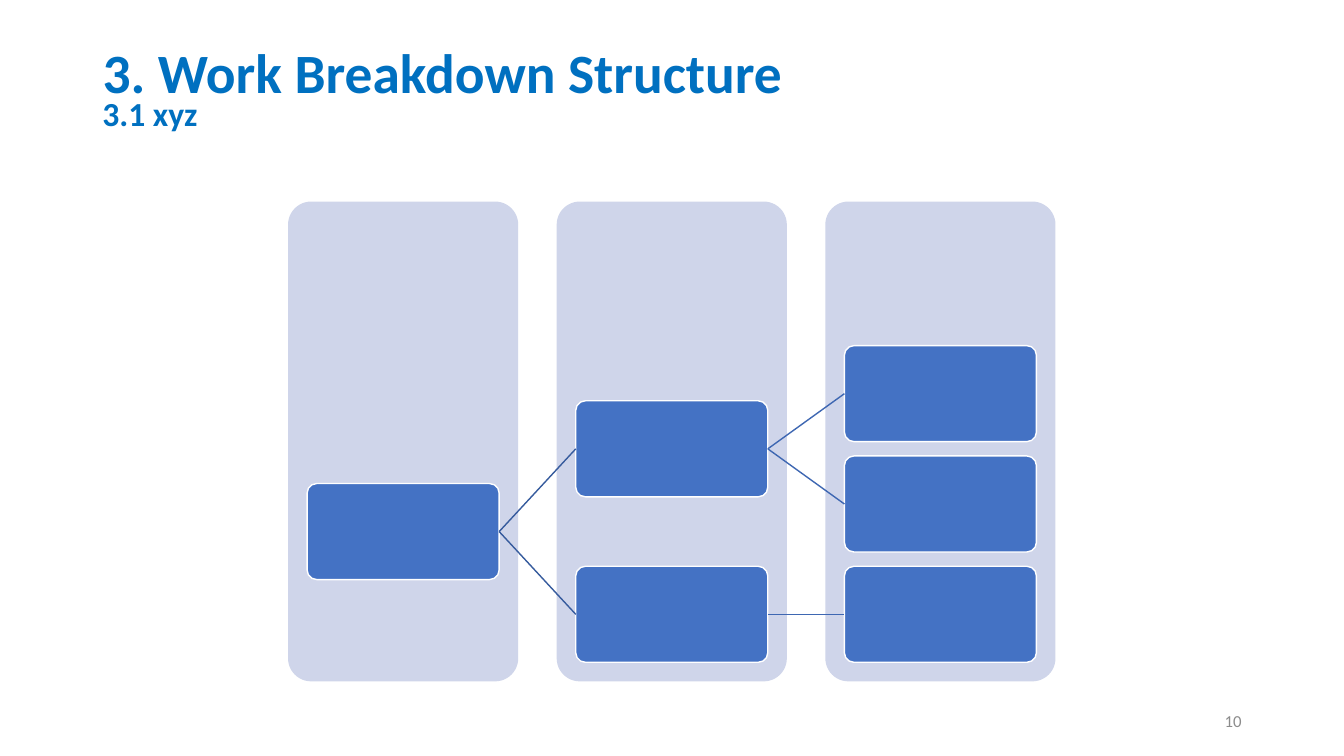
from lxml import etree
from pptx import Presentation
from pptx.dml.color import RGBColor
from pptx.enum.shapes import MSO_CONNECTOR, MSO_SHAPE
from pptx.enum.text import MSO_ANCHOR, MSO_AUTO_SIZE, PP_ALIGN
from pptx.oxml.ns import qn
from pptx.util import Cm, Pt

COLORS = {
    "heading": "0070C0", "page": "8C8C8C", "white": "FFFFFF",
    "column": "CFD5EA", "box": "4472C4",
    "root_link": "365B9D", "link": "3E67B2",
}
BOX_W, BOX_H = 4.84, 2.42
COLUMN_PITCH, ROW_PITCH = 6.77, 2.78
MARGIN = 0.48

# Each node is (column, row); a parent sits halfway between its children.
ROOT = (0, 1.25)
UPPER, LOWER = (1, 0.5), (1, 2)
LEAVES = [(2, row) for row in range(3)]
LINKS = [(ROOT, UPPER), (ROOT, LOWER), (UPPER, LEAVES[0]),
         (UPPER, LEAVES[1]), (LOWER, LEAVES[2])]


def rgb(name):
    return RGBColor.from_string(COLORS[name])


def write(sp, text, size, color, bold=False, align=PP_ALIGN.LEFT, spacing=None):
    tf = sp.text_frame
    tf.text = text
    tf.word_wrap = True
    tf.auto_size = MSO_AUTO_SIZE.NONE
    tf.vertical_anchor = MSO_ANCHOR.MIDDLE
    p = tf.paragraphs[0]
    p.alignment = align
    p.line_spacing = spacing
    font = p.runs[0].font
    font.name, font.size, font.bold = "Calibri", Pt(size), bold
    font.color.rgb = rgb(color)


def add_panel(slide, shape, x, y, w, h, fill, line=None):
    sp = slide.shapes.add_shape(shape, Cm(x), Cm(y), Cm(w), Cm(h))
    sp.shadow.inherit = False
    sp.fill.solid()
    sp.fill.fore_color.rgb = rgb(fill)
    if line:
        sp.line.color.rgb = rgb(line)
        sp.line.width = Pt(1)
    else:
        sp.line.fill.background()
    if shape == MSO_SHAPE.ROUNDED_RECTANGLE:
        sp.adjustments[0] = 0.1
    return sp


def add_heading(slide, x, y, w):
    title = slide.shapes.title
    title.left, title.top, title.width, title.height = Cm(x), Cm(y), Cm(w), Cm(1.37)
    write(title, "3. Work Breakdown Structure", 39.6, "heading", True, spacing=0.9)
    subtitle = add_panel(slide, MSO_SHAPE.RECTANGLE, x, y + 1.27, w, 0.84, "white")
    write(subtitle, "3.1 xyz", 24, "heading", True, spacing=0.9)


def add_page_number(slide, x, y, w, h):
    sp = slide.shapes.add_textbox(Cm(x), Cm(y), Cm(w), Cm(h))
    write(sp, "10", 12, "page", align=PP_ALIGN.RIGHT)


def add_breakdown(slide, x, y, h):
    """Draw the three level columns with the tree of boxes resting at their foot."""
    first_row = y + h - MARGIN - BOX_H - 2 * ROW_PITCH

    def corner(node):
        col, row = node
        return x + MARGIN + col * COLUMN_PITCH, first_row + row * ROW_PITCH

    for col in range(3):
        add_panel(slide, MSO_SHAPE.ROUNDED_RECTANGLE, x + col * COLUMN_PITCH, y,
                  BOX_W + 2 * MARGIN, h, "column")

    boxes = {}
    for node in [ROOT, UPPER, LOWER, *LEAVES]:
        boxes[node] = add_panel(slide, MSO_SHAPE.ROUNDED_RECTANGLE, *corner(node),
                                BOX_W, BOX_H, "box", "white")

    for parent, child in LINKS:
        link = slide.shapes.add_connector(MSO_CONNECTOR.STRAIGHT, 0, 0, 0, 0)
        link.begin_connect(boxes[parent], 3)
        link.end_connect(boxes[child], 1)
        link.line.color.rgb = rgb("root_link" if parent == ROOT else "link")
        link.line.width = Pt(1)
        etree.SubElement(link._element.spPr, qn("a:effectLst"))


def main():
    prs = Presentation()
    prs.slide_width, prs.slide_height = Cm(33.87), Cm(19.05)
    slide = prs.slides.add_slide(prs.slide_layouts[5])
    add_heading(slide, 2.33, 1.22, 29.21)
    add_page_number(slide, 23.92, 17.66, 7.62, 1.01)
    add_breakdown(slide, 7.26, 5.08, 12.09)
    prs.save("out.pptx")


if __name__ == "__main__":
    main()
